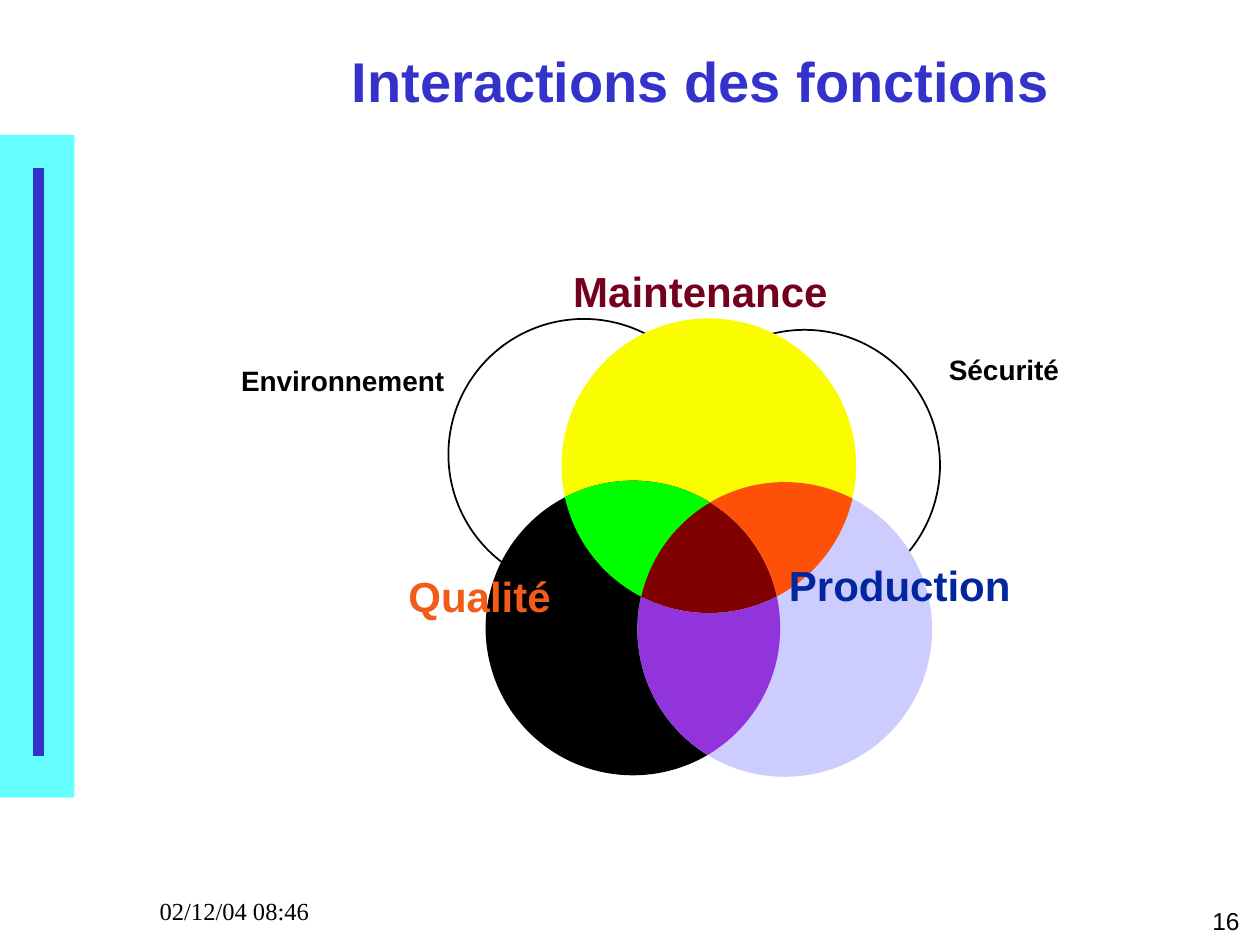
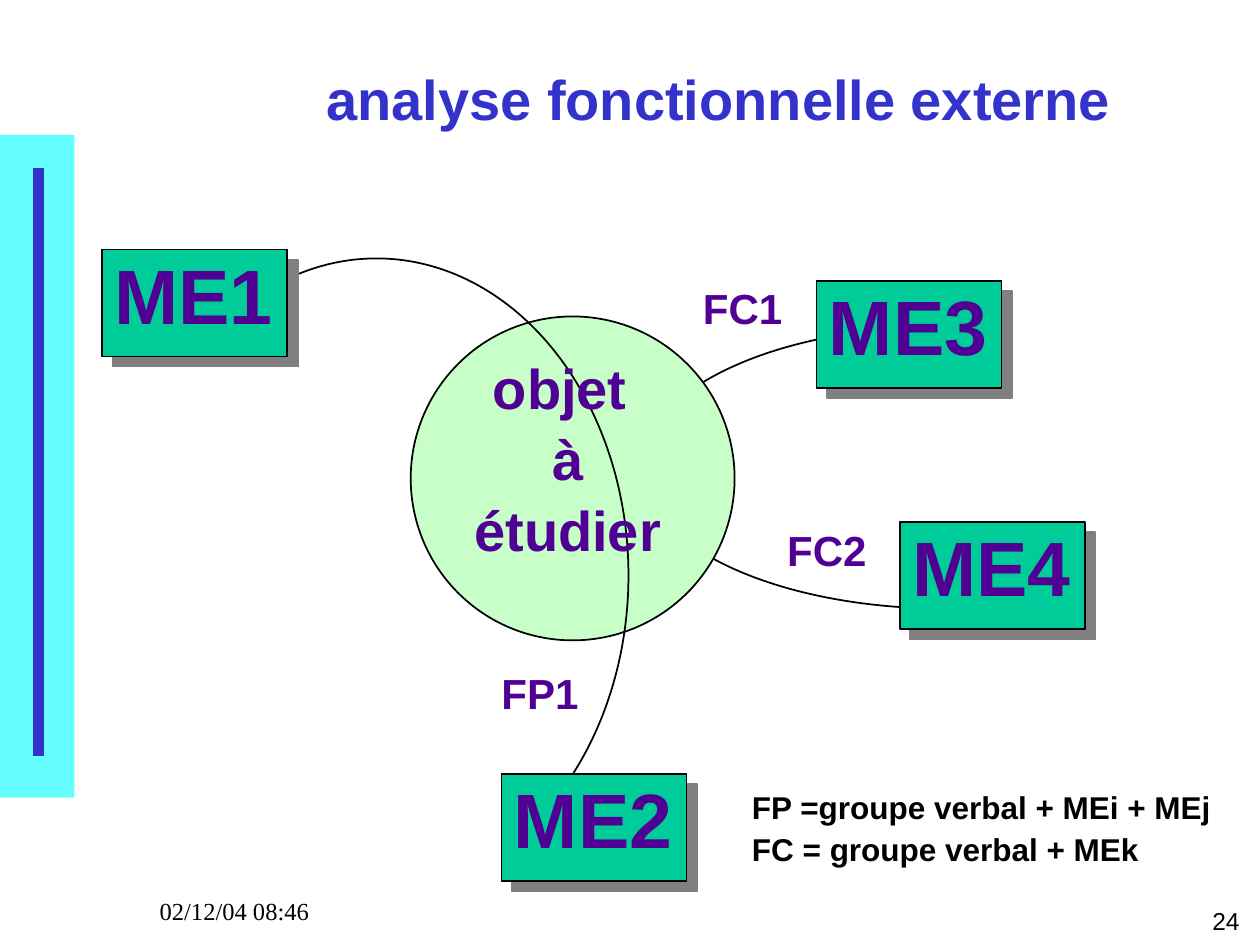
from math import atan2, cos, dist, hypot, pi, remainder, sin

from lxml.etree import SubElement
from pptx import Presentation
from pptx.dml.color import RGBColor
from pptx.enum.shapes import MSO_CONNECTOR as Connector, MSO_SHAPE as Preset
from pptx.enum.text import MSO_ANCHOR as Anchor, MSO_AUTO_SIZE as AutoSize, PP_ALIGN as Align
from pptx.oxml.ns import qn
from pptx.util import Cm, Pt

COLOURS = {
    "white": "FFFFFF", "black": "000000", "shadow": "808080",
    "band": "66FFFF", "title": "3333CC",
    "yellow": "FAFD00", "lavender": "CCCCFF", "brown": "800000",
    "green": "00FF00", "orange": "FF5008", "purple": "9234DB",
    "maintenance": "74001D", "production": "00279F", "quality": "F35B1B",
    "node": "00CC99", "node text": "500093", "object": "C8FEC8",
}
RADIUS = 2.97  # cm, the three main circles


def colour(name):
    return RGBColor.from_string(COLOURS[name])


def crossings(first, second):
    """Upper and lower crossing of two circles of the common radius."""
    gap = dist(first, second)
    half = (RADIUS ** 2 - gap ** 2 / 4) ** 0.5
    across, down = second[0] - first[0], second[1] - first[1]
    middle_x, middle_y = (first[0] + second[0]) / 2, (first[1] + second[1]) / 2
    points = [(middle_x - side * half * down / gap, middle_y + side * half * across / gap)
              for side in (-1, 1)]
    return sorted(points, key=lambda point: point[1])


def arc(centre, start, end, steps=24):
    """Points along the shorter arc between two points of a circle."""
    begin = atan2(start[1] - centre[1], start[0] - centre[0])
    finish = atan2(end[1] - centre[1], end[0] - centre[0])
    sweep = remainder(finish - begin, 2 * pi)
    radius = hypot(start[0] - centre[0], start[1] - centre[1])
    angles = [begin + sweep * step / steps for step in range(steps + 1)]
    return [(centre[0] + radius * cos(angle), centre[1] + radius * sin(angle))
            for angle in angles]


class Board:
    """Shared style and the slide being drawn; lengths are in centimetres."""

    def __init__(self):
        self.deck = Presentation()
        self.deck.slide_width, self.deck.slide_height = Cm(25.4), Cm(19.05)
        self.layout = self.deck.slide_layouts[5]
        self.page = None

    def new_page(self, title, place, number):
        first = self.page is None
        self.page = self.deck.slides.add_slide(self.layout)
        if first:
            self.frame()
        heading = self.page.shapes.title
        heading.left, heading.top, heading.width, heading.height = map(Cm, place)
        self.set_text(heading, title, 32, "title", Align.CENTER)
        heading.text_frame.word_wrap = True
        heading.text_frame.vertical_anchor = Anchor.MIDDLE
        self.label(number, (19.96, 18.19, 5.28, 0.81), 14, align=Align.RIGHT,
                   bold=False, wrap=True)

    def frame(self):
        """Band, rule and date, drawn once and moved to the layout."""
        band = self.shape(Preset.RECTANGLE, (0, 2.72, 1.5, 13.36), "band")
        rule = self.rule((0.78, 3.38), (0.78, 15.24), "title", 6)
        date = self.label("02/12/04 08:46", (2.97, 17.98, 5.28, 0.81), 14,
                          bold=False, wrap=True, font="Times New Roman")
        for part in (band, rule, date):
            self.layout.shapes.element.append(part.element)

    def paint(self, shape, fill, line):
        shape.shadow.inherit = False
        if fill:
            shape.fill.solid()
            shape.fill.fore_color.rgb = colour(fill)
        else:
            shape.fill.background()
        if line:
            shape.line.color.rgb = colour(line)
            shape.line.width = Pt(1)
        else:
            shape.line.fill.background()
        return shape

    def shape(self, preset, place, fill=None, line=None):
        return self.paint(self.page.shapes.add_shape(preset, *map(Cm, place)), fill, line)

    def disc(self, centre, fill):
        left, top = (value - RADIUS for value in centre)
        return self.shape(Preset.OVAL, (left, top, 2 * RADIUS, 2 * RADIUS), fill)

    def region(self, fill, *arcs):
        """Area closed by (centre, start, end) arcs."""
        points = [(Cm(x), Cm(y)) for part in arcs for x, y in arc(*part)]
        builder = self.page.shapes.build_freeform(*points[0])
        builder.add_line_segments(points[1:], close=True)
        return self.paint(builder.convert_to_shape(), fill, None)

    def rule(self, start, end, line, width):
        rule = self.page.shapes.add_connector(Connector.STRAIGHT, *map(Cm, start + end))
        rule.line.color.rgb = colour(line)
        rule.line.width = Pt(width)
        SubElement(rule.element.spPr, qn("a:effectLst"))
        return rule

    def set_text(self, shape, text, size, ink, align, bold=True, font="Arial"):
        frame = shape.text_frame
        frame.text = text
        frame.auto_size = AutoSize.NONE
        frame.word_wrap = False
        frame.vertical_anchor = Anchor.TOP
        frame.margin_left = frame.margin_right = Cm(0.25)
        frame.margin_top = frame.margin_bottom = Cm(0.13)
        for index, para in enumerate(frame.paragraphs):
            para.alignment = align
            para.line_spacing = 1.0 if index else 0.93
            para.space_before = Pt(1.8 if index else 0)
            for span in para.runs:
                span.font.name, span.font.size, span.font.bold = font, Pt(size), bold
                span.font.color.rgb = colour(ink)

    def label(self, text, place, size, ink="black", align=Align.LEFT,
              bold=True, wrap=False, font="Arial"):
        box = self.page.shapes.add_textbox(*map(Cm, place))
        self.set_text(box, text, size, ink, align, bold, font)
        box.text_frame.word_wrap = wrap
        return box

    def node(self, text, left, top):
        """Green box with a hard grey shadow."""
        box = self.shape(Preset.RECTANGLE, (left, top, 3.73, 2.16), "node", "black")
        self.set_text(box, text, 44, "node text", Align.LEFT)
        effects = box.element.spPr.find(qn("a:effectLst"))
        shadow = SubElement(effects, qn("a:outerShdw"), dist=str(Pt(8.5)),
                            dir="2700000", algn="ctr", rotWithShape="0")
        SubElement(shadow, qn("a:srgbClr"), val=COLOURS["shadow"])


def draw_interactions(board):
    board.new_page("Interactions des fonctions", (3.33, 0.84, 21.59, 1.7), "16")

    # Outer circles behind, then the three main ones
    for left, top in ((9.04, 6.43), (13.49, 6.65)):
        board.shape(Preset.OVAL, (left, top, 5.46, 5.46), line="black")
    maintenance, quality, production = (14.29, 9.39), (12.76, 12.66), (15.82, 12.69)
    board.disc(maintenance, "yellow")
    board.disc(quality, "black")
    board.disc(production, "lavender")

    # Overlaps
    far_left, inner_right = crossings(maintenance, quality)
    far_right, inner_left = crossings(maintenance, production)
    inner_top, bottom = crossings(quality, production)
    board.region("brown", (quality, inner_top, inner_right),
                 (maintenance, inner_right, inner_left), (production, inner_left, inner_top))
    board.region("green", (quality, far_left, inner_top),
                 (production, inner_top, inner_left), (maintenance, inner_left, far_left))
    board.region("orange", (production, far_right, inner_top),
                 (quality, inner_top, inner_right), (maintenance, inner_right, far_right))
    board.region("purple", (maintenance, inner_left, inner_right),
                 (quality, inner_right, bottom), (production, bottom, inner_left))

    # Names of the functions
    for text, place, size, ink in (
        ("Maintenance", (11.3, 5.31, 5.64, 1.19), 24, "maintenance"),
        ("Production", (15.65, 11.25, 4.98, 1.19), 24, "production"),
        ("Qualité", (7.98, 11.46, 3.38, 1.19), 24, "quality"),
        ("Sécurité", (18.87, 7.04, 2.74, 0.89), 16, "black"),
        ("Environnement", (4.6, 7.26, 4.62, 0.89), 16, "black"),
    ):
        board.label(text, place, size, ink, Align.CENTER)


def draw_analysis(board):
    board.new_page("analyse fonctionnelle externe", (3.58, 0.99, 21.82, 2.11), "24")

    # Constraint curve, its right part covered, and its two nodes
    board.shape(Preset.OVAL, (12.93, 6.58, 12.24, 5.69), line="black")
    board.shape(Preset.RECTANGLE, (18.85, 5.92, 6.35, 8.46), "white")
    board.node("ME3", 16.46, 5.66)
    board.node("ME4", 18.14, 10.52)

    # Object under study, crossed by the main function curve
    board.shape(Preset.OVAL, (8.28, 6.38, 6.53, 6.53), "object", "black")
    board.shape(Preset.OVAL, (2.51, 5.21, 10.16, 12.78), line="black")
    board.node("ME1", 2.06, 5.03)
    board.node("ME2", 10.11, 15.6)

    # Texts
    for text, left, top in (("FP1", 9.86, 13.41), ("FC2", 15.62, 10.54), ("FC1", 13.92, 5.66)):
        board.label(text, (left, top, 2.11, 1.19), 24, "node text")
    board.label("objet \nà\nétudier", (9.3, 7.11, 4.29, 4.22), 32, "node text", Align.CENTER)
    board.label("FP =groupe verbal + MEi + MEj\nFC = groupe verbal + MEk",
                (14.91, 15.82, 9.78, 1.73), 18)

    # Covers over the unused part of the main curve
    for place in ((2.13, 7.42, 4.85, 8.53), (3.66, 15.67, 6.43, 2.36)):
        board.shape(Preset.RECTANGLE, place, "white", "white")


def main():
    board = Board()
    draw_interactions(board)
    draw_analysis(board)
    board.deck.save("out.pptx")


if __name__ == "__main__":
    main()
